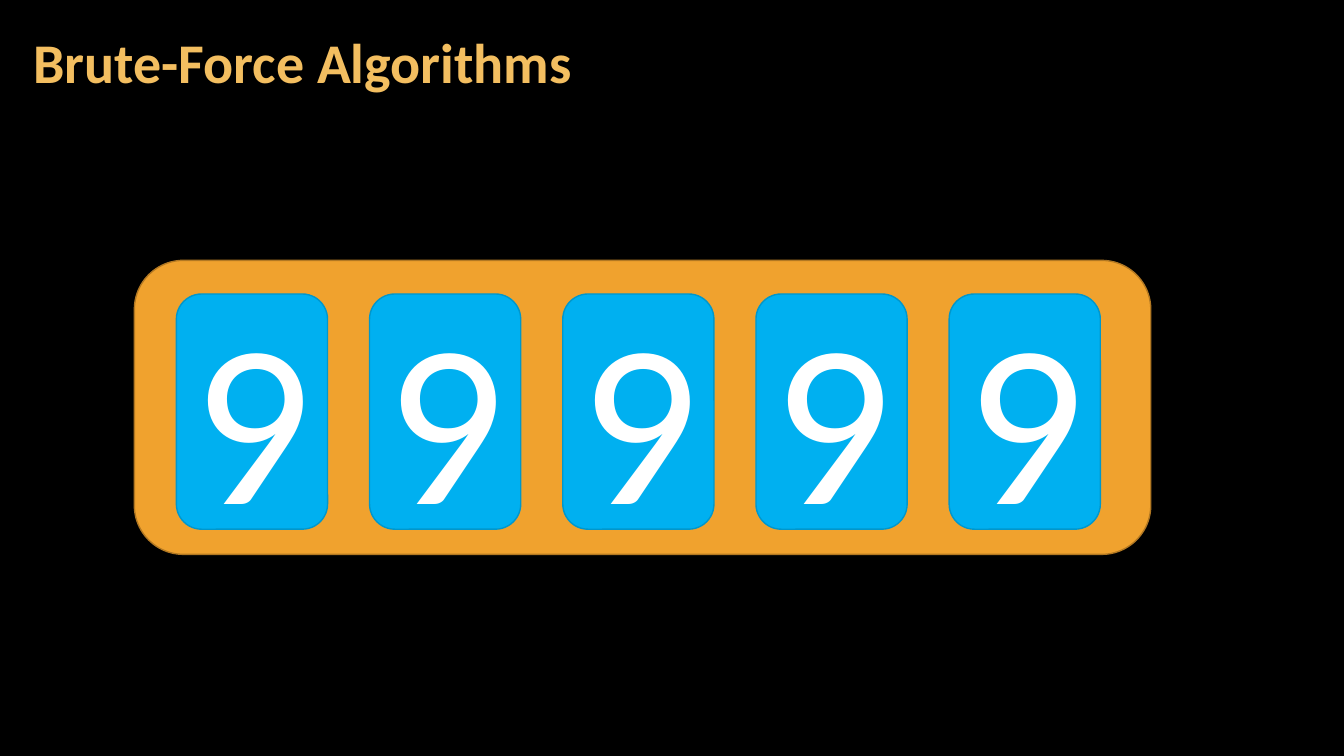
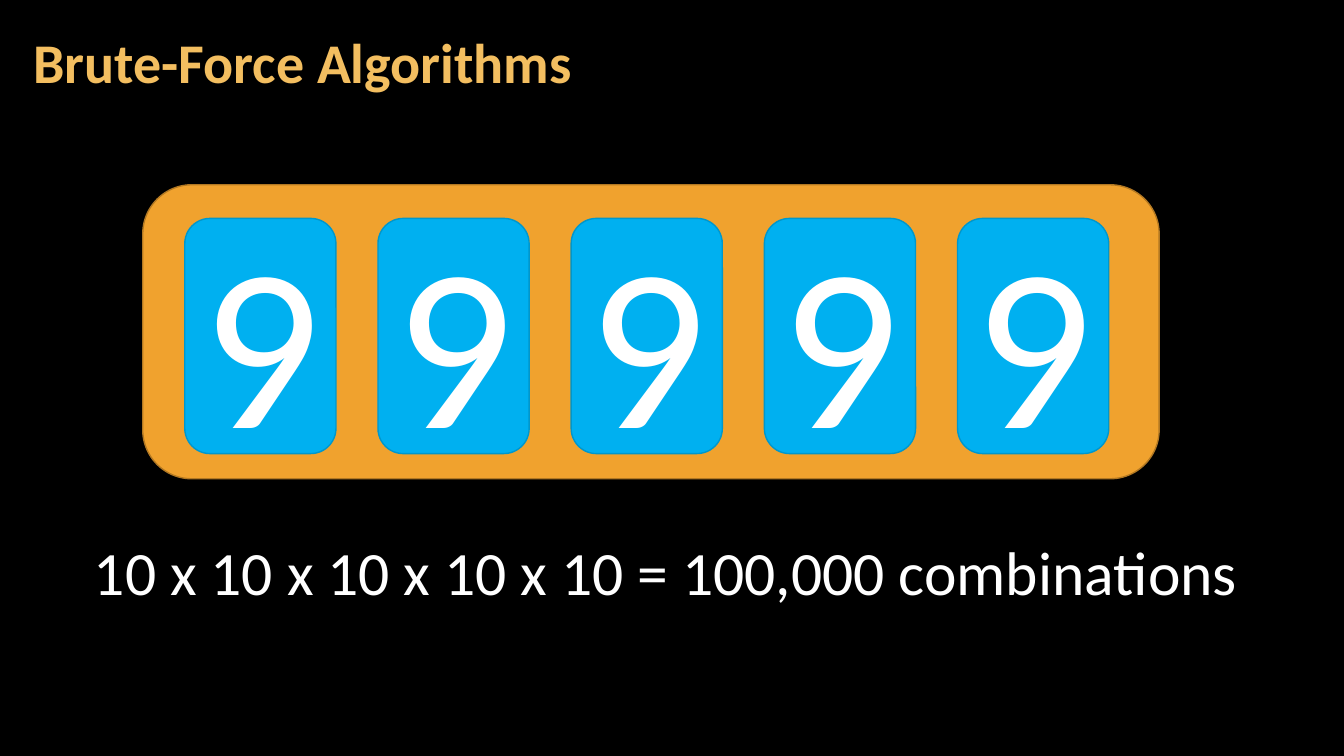
from dataclasses import dataclass

from pptx import Presentation
from pptx.dml.color import RGBColor
from pptx.enum.shapes import MSO_SHAPE as Shape
from pptx.enum.text import MSO_ANCHOR as Anchor, MSO_AUTO_SIZE as AutoSize, PP_ALIGN as Align
from pptx.util import Pt

PX = 9525
TITLE_ONLY = 5


@dataclass(frozen=True)
class Theme:
    font: str = "Calibri"
    background: str = "000000"
    heading: str = "F3BE60"
    text: str = "FFFFFF"
    lock: str = "F0A22E"
    lock_edge: str = "B27822"
    dial: str = "00B0F0"
    dial_edge: str = "0097CC"
    heading_size: int = 40
    digit_size: int = 166
    equation_size: int = 44


THEME = Theme()


def emu(*lengths):
    return [length * PX for length in lengths]


def apply(target, formats):
    for name, value in formats.items():
        setattr(target, name, value)


def write(frame, wording, size, color, align=Align.LEFT, bold=False, **frame_formats):
    apply(frame, frame_formats)
    paragraph = frame.paragraphs[0]
    paragraph.alignment = align
    run = paragraph.add_run()
    run.text = wording
    apply(run.font, {"name": THEME.font, "size": Pt(size), "bold": bold})
    run.font.color.rgb = RGBColor.from_string(color)
    return paragraph


def add_panel(slide, box, fill, edge):
    panel = slide.shapes.add_shape(Shape.ROUNDED_RECTANGLE, *emu(*box))
    panel.shadow.inherit = False
    panel.fill.solid()
    panel.fill.fore_color.rgb = RGBColor.from_string(fill)
    panel.line.color.rgb = RGBColor.from_string(edge)
    panel.line.width = Pt(1)
    return panel


def add_heading(slide, wording, box):
    heading = slide.shapes.title
    apply(heading, dict(zip(("left", "top", "width", "height"), emu(*box))))
    side, edge = emu(12, 4)
    paragraph = write(
        heading.text_frame, wording, THEME.heading_size, THEME.heading, bold=True,
        vertical_anchor=Anchor.MIDDLE, word_wrap=True, auto_size=AutoSize.NONE,
        margin_left=side, margin_right=side, margin_top=edge, margin_bottom=edge,
    )
    paragraph.line_spacing = 0.9


def add_lock(slide, code, box):
    left, top, _, _ = box
    add_panel(slide, box, THEME.lock, THEME.lock_edge)
    dial_width, dial_height, gap = 144, 224, 40
    for place, digit in enumerate(code):
        dial_left = left + gap + place * (dial_width + gap)
        dial = add_panel(slide, (dial_left, top + 32, dial_width, dial_height),
                         THEME.dial, THEME.dial_edge)
        write(dial.text_frame, digit, THEME.digit_size, THEME.text, Align.CENTER,
              vertical_anchor=Anchor.MIDDLE, word_wrap=True)


def add_equation(slide, wording, box):
    equation = slide.shapes.add_textbox(*emu(*box))
    write(equation.text_frame, wording, THEME.equation_size, THEME.text,
          word_wrap=False, auto_size=AutoSize.SHAPE_TO_FIT_TEXT)


def add_lock_slide(deck, code, lock_left, lock_top):
    slide = deck.slides.add_slide(deck.slide_layouts[TITLE_ONLY])
    add_heading(slide, "Brute-Force Algorithms", (20, 4, 1005, 116))
    add_lock(slide, code, (lock_left, lock_top, 968, 280))
    return slide


def main():
    deck = Presentation()
    deck.slide_width, deck.slide_height = emu(1280, 720)
    backdrop = deck.slide_master.background.fill
    backdrop.solid()
    backdrop.fore_color.rgb = RGBColor.from_string(THEME.background)

    add_lock_slide(deck, "99999", 128, 248)
    counted = add_lock_slide(deck, "99999", 136, 176)
    add_equation(counted, "10 x 10 x 10 x 10 x 10 = 100,000 combinations", (80, 504, 1120, 81))
    deck.save("out.pptx")


if __name__ == "__main__":
    main()
